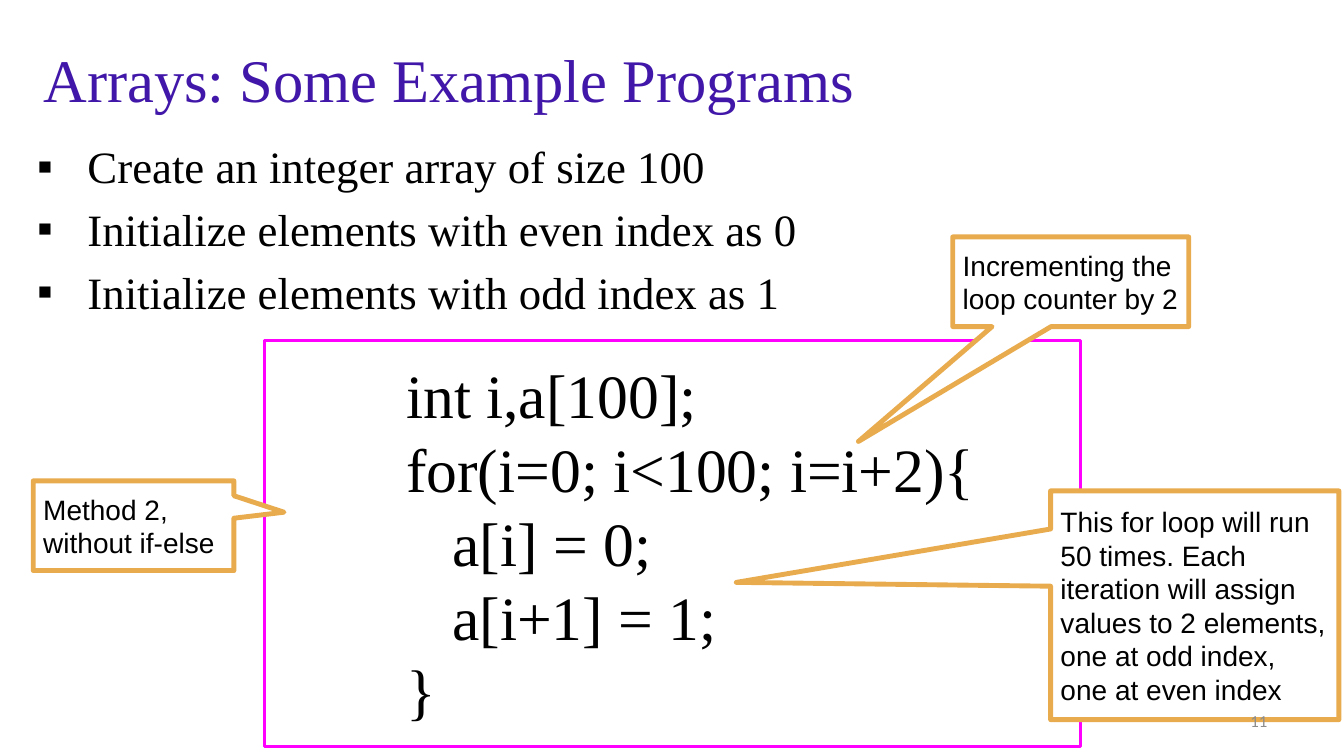
from dataclasses import dataclass

from lxml import etree
from pptx import Presentation
from pptx.dml.color import RGBColor
from pptx.enum.shapes import MSO_SHAPE
from pptx.enum.text import MSO_ANCHOR, MSO_AUTO_SIZE, PP_ALIGN
from pptx.oxml.ns import qn
from pptx.util import Pt

RECTANGLE = MSO_SHAPE.RECTANGLE
CALLOUT = MSO_SHAPE.RECTANGULAR_CALLOUT
MIDDLE = MSO_ANCHOR.MIDDLE
NO_AUTOFIT = MSO_AUTO_SIZE.NONE
LEFT, RIGHT = PP_ALIGN.LEFT, PP_ALIGN.RIGHT

EMU_PER_PX = 9144  # 100 px to the inch
TITLE_ONLY = 5
SERIF, SANS, NUMBER_FONT = "Times New Roman", "Arial", "Calibri"
COLOURS = {
    "title": "4117A9",
    "text": "000000",
    "paper": "FFFFFF",
    "code_frame": "FF00FF",
    "callout_edge": "E8AB4E",
    "page_number": "8C8C8C",
}


@dataclass(frozen=True)
class Box:
    left: int
    top: int
    width: int
    height: int

    def emu(self) -> tuple[int, int, int, int]:
        sides = (self.left, self.top, self.width, self.height)
        return tuple(side * EMU_PER_PX for side in sides)


@dataclass(frozen=True)
class TextStyle:
    font: str
    size: float
    colour: str = "text"
    align: PP_ALIGN = LEFT


@dataclass(frozen=True)
class Callout:
    box: Box
    tip: tuple[float, float]
    text: str


TITLE_STYLE = TextStyle(SERIF, 43.2, "title")
BULLET_STYLE = TextStyle(SERIF, 32)
CODE_STYLE = TextStyle(SERIF, 44)
CALLOUT_STYLE = TextStyle(SANS, 20)
NUMBER_STYLE = TextStyle(NUMBER_FONT, 12, "page_number", RIGHT)

TASKS = [
    "Create an integer array of size 100",
    "Initialize elements with even index as 0",
    "Initialize elements with odd index as 1",
]
CODE = [
    "int i,a[100];",
    "for(i=0; i<100; i=i+2){",
    "   a[i] = 0;",
    "   a[i+1] = 1;",
    "}",
]
CALLOUTS = [
    Callout(Box(33, 477, 199, 89), (0.75, -0.15), "Method 2, without if-else"),
    Callout(Box(945, 235, 234, 89), (-0.9, 1.78), "Incrementing the loop counter by 2"),
    Callout(
        Box(1042, 487, 286, 227),
        (-1.59, -0.1),
        "This for loop will run 50 times. Each iteration will assign "
        "values to 2 elements, one at odd index, one at even index",
    ),
]


def colour(name: str) -> RGBColor:
    return RGBColor.from_string(COLOURS[name])


def indent(paragraph, margin: int, first_line: int = 0, bullet: str = "") -> None:
    """Set the paragraph's indents in px, and its bullet if there is one."""
    properties = paragraph._p.get_or_add_pPr()
    properties.set("marL", str(margin * EMU_PER_PX))
    properties.set("indent", str(first_line * EMU_PER_PX))
    if bullet:
        etree.SubElement(properties, qn("a:buFont")).set("typeface", SERIF)
        etree.SubElement(properties, qn("a:buChar")).set("char", bullet)


def write(frame, lines: list[str], style: TextStyle) -> list:
    """Fill the frame with one paragraph a line and return the paragraphs."""
    frame.word_wrap = True
    frame.auto_size = NO_AUTOFIT
    for number, line in enumerate(lines):
        paragraph = frame.add_paragraph() if number else frame.paragraphs[0]
        paragraph.alignment = style.align
        run = paragraph.add_run()
        run.text = line
        run.font.name = style.font
        run.font.size = Pt(style.size)
        run.font.color.rgb = colour(style.colour)
    return list(frame.paragraphs)


def add_text(slide, box: Box, lines: list[str], style: TextStyle):
    frame = slide.shapes.add_textbox(*box.emu()).text_frame
    write(frame, lines, style)
    return frame


def add_outlined(slide, kind: MSO_SHAPE, box: Box, edge: str, weight: float):
    shape = slide.shapes.add_shape(kind, *box.emu())
    shape.shadow.inherit = False
    shape.line.color.rgb = colour(edge)
    shape.line.width = Pt(weight)
    return shape


def add_title(slide) -> None:
    title = slide.shapes.title
    title.left, title.top, title.width, title.height = Box(33, 36, 1200, 83).emu()
    write(title.text_frame, ["Arrays: Some Example Programs"], TITLE_STYLE)
    title.text_frame.vertical_anchor = MIDDLE


def add_tasks(slide) -> None:
    frame = add_text(slide, Box(21, 133, 1307, 200), TASKS, BULLET_STYLE)
    for number, paragraph in enumerate(frame.paragraphs):
        indent(paragraph, 56, -50, "▪")
        if number:
            paragraph.space_before = Pt(6.4)


def add_code(slide) -> None:
    border = add_outlined(slide, RECTANGLE, Box(262, 338, 810, 403), "code_frame", 2)
    border.fill.background()
    frame = add_text(slide, Box(343, 349, 699, 380), CODE, CODE_STYLE)
    for paragraph in frame.paragraphs:
        indent(paragraph, 50)


def add_callout(slide, callout: Callout) -> None:
    shape = add_outlined(slide, CALLOUT, callout.box, "callout_edge", 3.5)
    shape.fill.solid()
    shape.fill.fore_color.rgb = colour("paper")
    shape.adjustments[0], shape.adjustments[1] = callout.tip
    write(shape.text_frame, [callout.text], CALLOUT_STYLE)
    shape.text_frame.vertical_anchor = MIDDLE


def main() -> None:
    presentation = Presentation()
    presentation.slide_width = 1333 * EMU_PER_PX
    presentation.slide_height = 750 * EMU_PER_PX
    slide = presentation.slides.add_slide(presentation.slide_layouts[TITLE_ONLY])
    add_title(slide)
    add_tasks(slide)
    add_code(slide)
    for callout in CALLOUTS:
        add_callout(slide, callout)
    page_number = add_text(slide, Box(956, 695, 311, 40), ["11"], NUMBER_STYLE)
    page_number.vertical_anchor = MIDDLE
    presentation.save("out.pptx")


if __name__ == "__main__":
    main()
